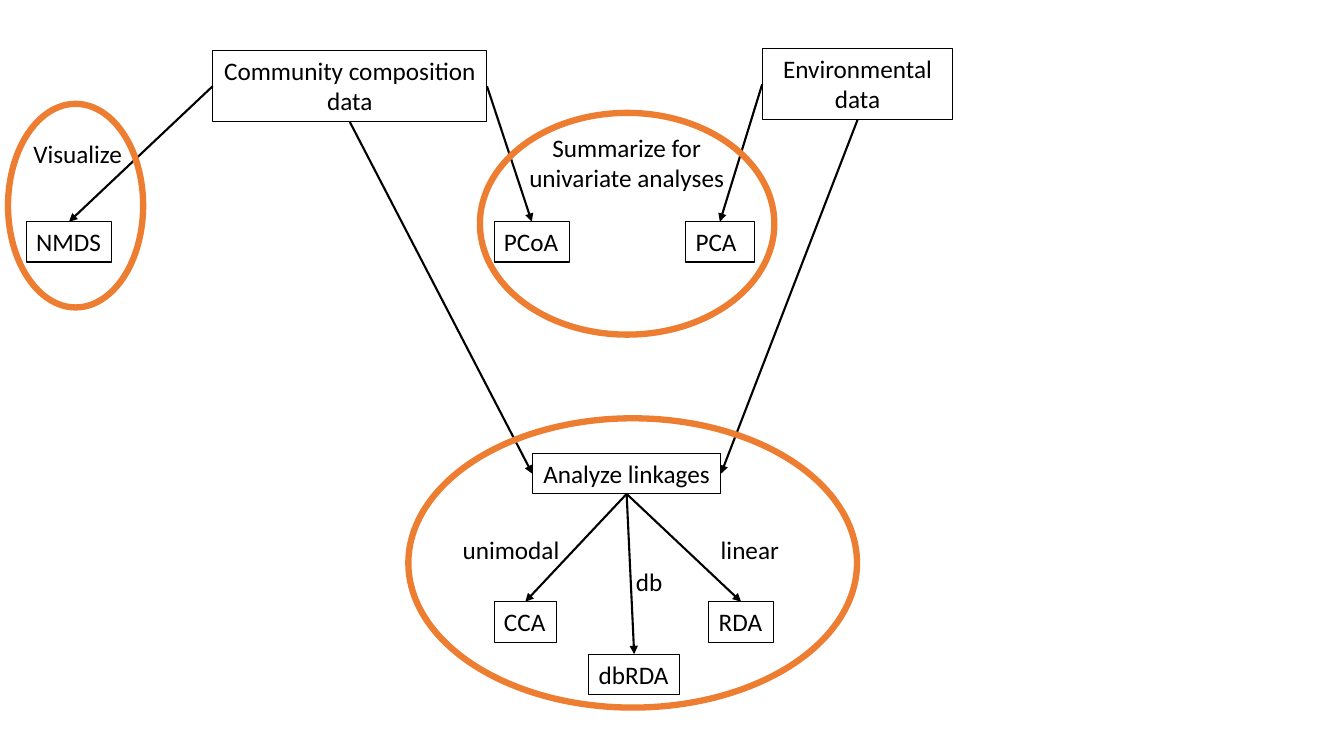
from lxml import etree
from pptx import Presentation
from pptx.dml.color import RGBColor
from pptx.enum.shapes import MSO_CONNECTOR, MSO_SHAPE
from pptx.enum.text import PP_ALIGN
from pptx.oxml.ns import qn
from pptx.util import Inches, Pt

RECTANGLE, OVAL = MSO_SHAPE.RECTANGLE, MSO_SHAPE.OVAL
STRAIGHT = MSO_CONNECTOR.STRAIGHT
CENTER, LEFT = PP_ALIGN.CENTER, PP_ALIGN.LEFT
TOP_SIDE, LEFT_SIDE, BOTTOM_SIDE, RIGHT_SIDE = range(4)
BLACK, ORANGE = "000000", "ED7D31"
FONT, TEXT_SIZE = "Calibri", 18
ONE_LINE, TWO_LINES = 0.4, 0.71

COMMUNITY = "Community composition data"
ENVIRONMENT = "Environmental data"
LINKAGES = "Analyze linkages"

BOXES = [
    (COMMUNITY, 2.11, 0.5, 2.72, TWO_LINES, CENTER, True),
    (ENVIRONMENT, 7.56, 0.48, 1.89, TWO_LINES, CENTER, True),
    (LINKAGES, 5.28, 4.5, 1.87, ONE_LINE, CENTER, False),
    ("NMDS", 0.26, 2.2, 0.85, ONE_LINE, LEFT, False),
    ("PCoA", 4.9, 2.2, 0.75, ONE_LINE, LEFT, False),
    ("PCA", 6.8, 2.2, 0.68, ONE_LINE, LEFT, True),
    ("CCA", 4.9, 5.97, 0.62, ONE_LINE, LEFT, False),
    ("RDA", 7.03, 5.97, 0.64, ONE_LINE, LEFT, False),
    ("dbRDA", 5.84, 6.49, 0.9, ONE_LINE, LEFT, False),
]
LABELS = [
    ("Summarize for univariate analyses", 4.87, 1.26, 2.69, TWO_LINES, CENTER, True),
    ("Visualize", 0.01, 1.32, 1.52, ONE_LINE, CENTER, True),
    ("unimodal", 4.49, 5.25, 1.17, ONE_LINE, LEFT, False),
    ("linear", 7.05, 5.25, 0.79, ONE_LINE, LEFT, False),
    ("db", 6.21, 5.57, 0.47, ONE_LINE, LEFT, False),
]
ARROWS = [
    (COMMUNITY, LEFT_SIDE, "NMDS", TOP_SIDE),
    (COMMUNITY, RIGHT_SIDE, "PCoA", TOP_SIDE),
    (ENVIRONMENT, LEFT_SIDE, "PCA", TOP_SIDE),
    (COMMUNITY, BOTTOM_SIDE, LINKAGES, LEFT_SIDE),
    (ENVIRONMENT, BOTTOM_SIDE, LINKAGES, RIGHT_SIDE),
    (LINKAGES, BOTTOM_SIDE, "CCA", TOP_SIDE),
    (LINKAGES, BOTTOM_SIDE, "dbRDA", TOP_SIDE),
    (LINKAGES, BOTTOM_SIDE, "RDA", TOP_SIDE),
]
GROUP_RINGS = [
    (0.08, 1.03, 1.34, 2.02),
    (4.76, 1.12, 2.92, 2.2),
    (4.05, 4.15, 4.45, 2.87),
]


def color(value):
    return RGBColor.from_string(value)


def set_line(shape, value, width):
    shape.line.color.rgb = color(value)
    shape.line.width = Pt(width)


def add_outline(page, kind, place, value, width):
    shape = page.shapes.add_shape(kind, *map(Inches, place))
    shape.shadow.inherit = False
    shape.fill.background()
    set_line(shape, value, width)
    return shape


def write(box, text, align, wrap):
    frame = box.text_frame
    frame.word_wrap = wrap
    para = frame.paragraphs[0]
    para.text = text
    para.alignment = align
    para.font.name = FONT
    para.font.size = Pt(TEXT_SIZE)
    para.font.color.rgb = color(BLACK)


def add_arrow(page, start, start_side, end, end_side):
    arrow = page.shapes.add_connector(STRAIGHT, 0, 0, 0, 0)
    arrow.begin_connect(start, start_side)
    arrow.end_connect(end, end_side)
    set_line(arrow, BLACK, 1.5)
    etree.SubElement(arrow.line._get_or_add_ln(), qn("a:tailEnd"), type="triangle")
    etree.SubElement(arrow._element.spPr, qn("a:effectLst"))


def main():
    deck = Presentation()
    deck.slide_width, deck.slide_height = Inches(13.33), Inches(7.5)
    page = deck.slides.add_slide(deck.slide_layouts[6])

    boxes = {}
    for text, *place, align, wrap in BOXES:
        boxes[text] = add_outline(page, RECTANGLE, place, BLACK, 0.75)
        boxes[text].text_frame.vertical_anchor = None
        write(boxes[text], text, align, wrap)
    for text, *place, align, wrap in LABELS:
        write(page.shapes.add_textbox(*map(Inches, place)), text, align, wrap)
    for start, start_side, end, end_side in ARROWS:
        add_arrow(page, boxes[start], start_side, boxes[end], end_side)
    for place in GROUP_RINGS:
        add_outline(page, OVAL, place, ORANGE, 4.5)

    deck.save("out.pptx")


if __name__ == "__main__":
    main()
